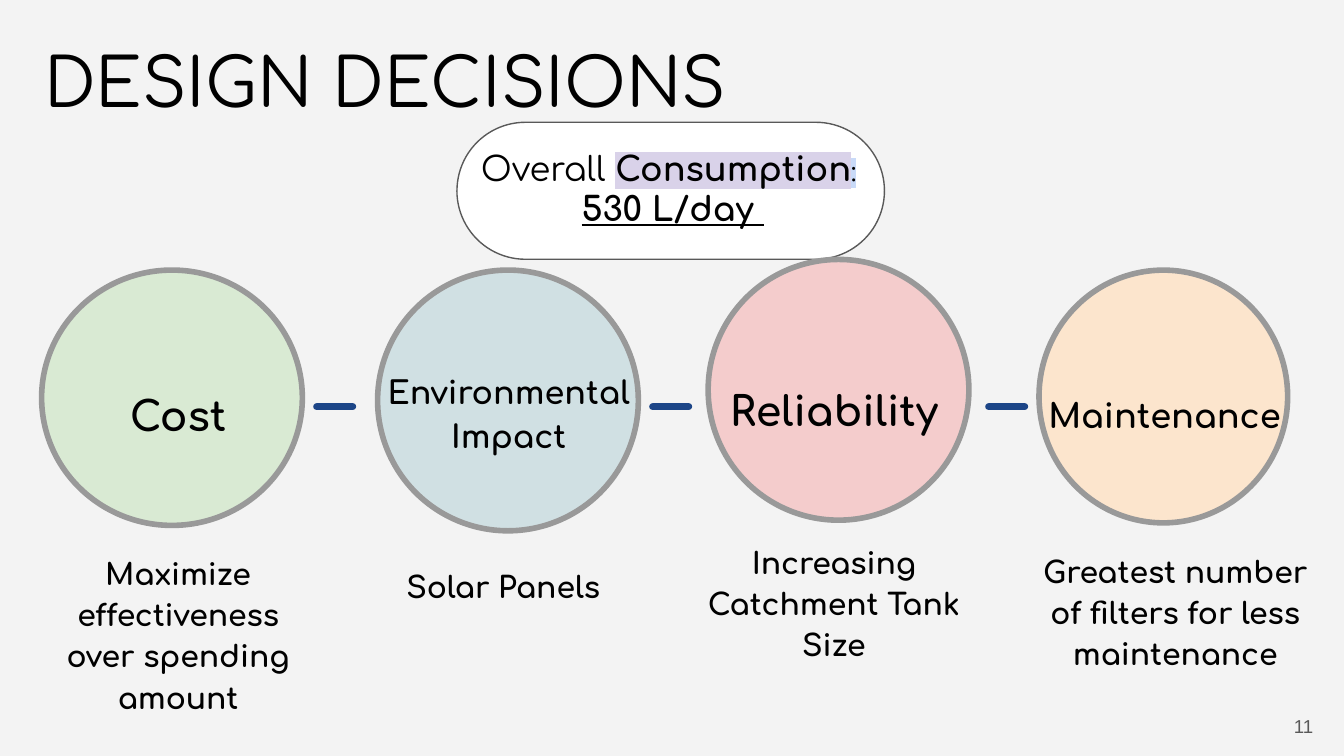
from dataclasses import dataclass

from lxml.etree import SubElement
from pptx import Presentation
from pptx.dml.color import RGBColor
from pptx.enum.shapes import MSO_SHAPE
from pptx.enum.text import MSO_ANCHOR, MSO_AUTO_SIZE, PP_ALIGN
from pptx.oxml.ns import qn
from pptx.util import Pt

FONT = "Comfortaa"
BLACK = "000000"
DARK_GRAY = "595959"
CAPTION_WIDTH = 157.7
LABEL_HEIGHT = 46.8


@dataclass
class Decision:
    label: str
    label_size: float
    label_box: tuple
    caption: str
    caption_box: tuple
    circle_box: tuple
    fill: str


DECISIONS = [
    Decision("Cost", 22, (43.9, 198, 103, LABEL_HEIGHT),
             "Maximize effectiveness over spending amount",
             (16.6, 308.2, CAPTION_WIDTH, 82.1),
             (22.3, 144.7, 139.7, 136.8), "D9EAD3"),
    Decision("Environmental Impact", 17, (193.7, 189.4, 157.7, LABEL_HEIGHT),
             "Solar Panels",
             (190.8, 284.4, CAPTION_WIDTH, 46.8),
             (202.3, 144.7, 139.7, 139.7), "D0E0E3"),
    Decision("Reliability", 22, (381.6, 195.1, 130.3, LABEL_HEIGHT),
             "Increasing Catchment Tank Size",
             (367.9, 279.4, CAPTION_WIDTH, 82.8),
             (379.4, 139, 139.7, 139.7), "F4CCCC"),
    Decision("Maintenance", 18, (546.5, 200.9, 154.8, LABEL_HEIGHT),
             "Greatest number of filters for less maintenance",
             (550.8, 279.4, CAPTION_WIDTH, 87.8),
             (556.6, 144.7, 133.2, 135.4), "FCE5CD"),
]


def color(hex_value):
    return RGBColor.from_string(hex_value)


def points(box):
    return [Pt(length) for length in box]


def format_run(run, size, bold=False, font=FONT, fill=BLACK, underline=None):
    run.font.size = Pt(size)
    run.font.bold = bold
    run.font.underline = underline
    run.font.color.rgb = color(fill)
    run.font.name = font


def highlight_run(run, hex_value):
    properties = run.font._element if hasattr(run.font, "_element") else run._r.get_or_add_rPr()
    highlight = SubElement(properties, qn("a:highlight"))
    SubElement(highlight, qn("a:srgbClr"), val=hex_value)
    properties.find(qn("a:latin")).addprevious(highlight)


def prepare_frame(text_frame, anchor):
    text_frame.word_wrap = True
    text_frame.auto_size = MSO_AUTO_SIZE.NONE
    text_frame.vertical_anchor = anchor
    text_frame.margin_left = text_frame.margin_right = Pt(7.2)
    text_frame.margin_top = text_frame.margin_bottom = Pt(7.2)


def add_shape(shapes, kind, box, fill, line=None, line_width=0):
    shape = shapes.add_shape(kind, *points(box))
    shape.shadow.inherit = False
    shape.fill.solid()
    shape.fill.fore_color.rgb = color(fill)
    if line:
        shape.line.color.rgb = color(line)
        shape.line.width = Pt(line_width)
    else:
        shape.line.fill.background()
    if kind == MSO_SHAPE.ROUNDED_RECTANGLE:
        shape.adjustments[0] = 0.5
    return shape


def add_text(shapes, box, text, size, anchor=MSO_ANCHOR.TOP,
             align=PP_ALIGN.CENTER, spacing=1.15, **run_format):
    text_frame = shapes.add_textbox(*points(box)).text_frame
    prepare_frame(text_frame, anchor)
    paragraph = text_frame.paragraphs[0]
    paragraph.text = text
    paragraph.alignment = align
    paragraph.line_spacing = spacing
    format_run(paragraph.runs[0], size, **run_format)


def add_title(slide, text):
    title = slide.shapes.title
    title.left, title.top, title.width, title.height = points((16.5, 10, 720, 66))
    title.text_frame.text = text
    prepare_frame(title.text_frame, MSO_ANCHOR.MIDDLE)
    paragraph = title.text_frame.paragraphs[0]
    paragraph.alignment = PP_ALIGN.LEFT
    format_run(paragraph.runs[0], 36)


def add_consumption(shapes):
    add_shape(shapes, MSO_SHAPE.ROUNDED_RECTANGLE, (244.8, 65.5, 229, 73.4),
              "FFFFFF", DARK_GRAY, 0.75)
    text_frame = shapes.add_textbox(*points((215.3, 72, 290, 43.2))).text_frame
    prepare_frame(text_frame, MSO_ANCHOR.TOP)
    heading = text_frame.paragraphs[0]
    for text, size, bold, highlight in [("Overall ", 18, False, None),
                                        ("Consumption", 18, True, "D9D2E9"),
                                        (":", 14, False, "C9DAF8"),
                                        (" ", 14, False, None)]:
        run = heading.add_run()
        run.text = text
        format_run(run, size, bold)
        if highlight:
            highlight_run(run, highlight)
    amount = text_frame.add_paragraph()
    amount.text = "530 L/day "
    format_run(amount.runs[0], 18, bold=True, underline=True)
    for paragraph in text_frame.paragraphs:
        paragraph.alignment = PP_ALIGN.CENTER


def add_decision(slide, decision):
    shapes = slide.shapes.add_group_shape().shapes
    add_shape(shapes, MSO_SHAPE.OVAL, decision.circle_box, decision.fill, "999999", 3)
    add_text(shapes, decision.label_box, decision.label, decision.label_size, bold=True)
    add_text(shapes, decision.caption_box, decision.caption, 16,
             anchor=MSO_ANCHOR.BOTTOM, bold=True)


def main():
    presentation = Presentation()
    presentation.slide_width, presentation.slide_height = Pt(720), Pt(405)
    slide = presentation.slides.add_slide(presentation.slide_layouts[5])
    slide.background.fill.solid()
    slide.background.fill.fore_color.rgb = color("F3F3F3")

    add_title(slide, "DESIGN DECISIONS")
    add_consumption(slide.shapes)
    for decision in DECISIONS:
        add_decision(slide, decision)
    for gap in range(len(DECISIONS) - 1):
        add_shape(slide.shapes, MSO_SHAPE.ROUNDED_RECTANGLE,
                  (167.8 + 180 * gap, 216, 23, 3.6), "1C4587")
    add_text(slide.shapes, (667.4, 373.7, 43.2, 31), "11", 10,
             anchor=MSO_ANCHOR.MIDDLE, align=PP_ALIGN.RIGHT, spacing=1,
             font="Arial", fill=DARK_GRAY)
    presentation.save("out.pptx")


if __name__ == "__main__":
    main()
